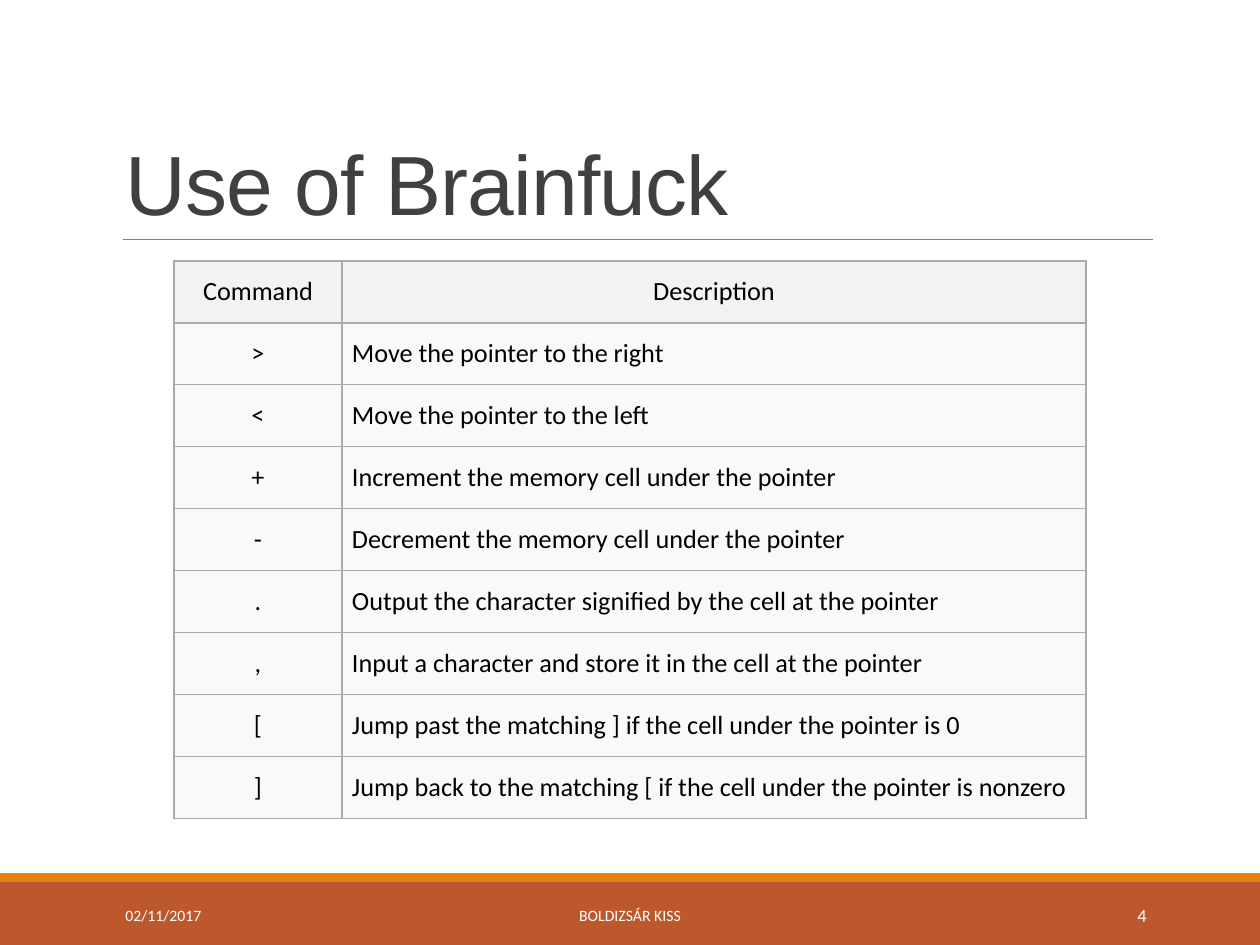
"""Build the Brainfuck command reference slide."""
from lxml import etree
from pptx import Presentation
from pptx.dml.color import RGBColor
from pptx.enum.shapes import MSO_CONNECTOR, MSO_SHAPE
from pptx.enum.text import MSO_ANCHOR, PP_ALIGN
from pptx.oxml.ns import qn
from pptx.util import Pt

LEFT, CENTER, RIGHT = PP_ALIGN.LEFT, PP_ALIGN.CENTER, PP_ALIGN.RIGHT
MIDDLE, BOTTOM = MSO_ANCHOR.MIDDLE, MSO_ANCHOR.BOTTOM
RECT, STRAIGHT = MSO_SHAPE.RECTANGLE, MSO_CONNECTOR.STRAIGHT

TITLE = "Use of Brainfuck"
ROWS = [
    ("Command", "Description"),
    (">", "Move the pointer to the right"),
    ("<", "Move the pointer to the left"),
    ("+", "Increment the memory cell under the pointer"),
    ("-", "Decrement the memory cell under the pointer"),
    (".", "Output the character signified by the cell at the pointer"),
    (",", "Input a character and store it in the cell at the pointer"),
    ("[", "Jump past the matching ] if the cell under the pointer is 0"),
    ("]", "Jump back to the matching [ if the cell under the pointer is nonzero"),
]
FOOTER = [
    ("02/11/2017", 113, 256, LEFT, 9),
    ("BOLDIZSÁR KISS", 381, 498, CENTER, 9),
    ("4", 1023, 136, RIGHT, 10.5),
]
BANDS = [(882, 63, "BD582C"), (873, 9, "E48312")]
COL_WIDTHS = (168, 744)
ROW_HEIGHT = 62
SLIDE_W, SLIDE_H = 1260, 945


def px(n):
    return round(n * 914400 / 126)


def rgb(value):
    return RGBColor.from_string(value)


def write(tf, text, size, color, align=LEFT, font="Calibri"):
    p = tf.paragraphs[0]
    p.text = text
    p.alignment = align
    p.font.name, p.font.size = font, Pt(size)
    p.font.color.rgb = rgb(color)
    return p


def add_border(cell, color, width):
    tc_pr = cell._tc.get_or_add_tcPr()
    for i, side in enumerate(("lnL", "lnR", "lnT", "lnB")):
        ln = etree.Element(qn("a:" + side), w=str(Pt(width)))
        fill = etree.SubElement(ln, qn("a:solidFill"))
        etree.SubElement(fill, qn("a:srgbClr"), val=color)
        tc_pr.insert(i, ln)


def add_bands(s):
    for top, height, color in BANDS:
        sp = s.shapes.add_shape(RECT, 0, px(top), px(SLIDE_W), px(height))
        sp.shadow.inherit = False
        sp.fill.solid()
        sp.fill.fore_color.rgb = rgb(color)
        sp.line.fill.background()


def add_title(s):
    sp = s.shapes.title
    sp.left, sp.top, sp.width, sp.height = px(113), px(39), px(1040), px(200)
    sp.text_frame.vertical_anchor = BOTTOM
    p = write(sp.text_frame, TITLE, 48, "404040", font="Arial")
    p.line_spacing = 0.85
    p.runs[0].font._element.set("spc", "-50")
    rule = s.shapes.add_connector(STRAIGHT, px(123), px(239), px(1153), px(239))
    rule.line.color.rgb = rgb("808080")
    rule.line.width = Pt(0.5)
    etree.SubElement(rule._element.spPr, qn("a:effectLst"))


def add_commands(s):
    table = s.shapes.add_table(
        len(ROWS), len(COL_WIDTHS), px(174), px(261),
        px(sum(COL_WIDTHS)), px(ROW_HEIGHT * len(ROWS))).table
    table.first_row = table.horz_banding = False
    for column, width in zip(table.columns, COL_WIDTHS):
        column.width = px(width)
    for r, row in enumerate(ROWS):
        table.rows[r].height = px(ROW_HEIGHT)
        for c, text in enumerate(row):
            cell = table.cell(r, c)
            cell.vertical_anchor = MIDDLE
            cell.margin_left = cell.margin_right = px(10)
            cell.margin_top = cell.margin_bottom = px(5)
            cell.fill.solid()
            cell.fill.fore_color.rgb = rgb("F9F9F9" if r else "F2F2F2")
            write(cell.text_frame, text, 15, "000000", LEFT if r and c else CENTER)
            add_border(cell, "AAAAAA", 0.75)


def add_footer(s):
    for text, left, width, align, size in FOOTER:
        tf = s.shapes.add_textbox(px(left), px(890), px(width), px(50)).text_frame
        tf.word_wrap = True
        tf.vertical_anchor = MIDDLE
        write(tf, text, size, "FFFFFF", align)


def main():
    prs = Presentation()
    prs.slide_width, prs.slide_height = px(SLIDE_W), px(SLIDE_H)
    s = prs.slides.add_slide(prs.slide_layouts[5])
    add_bands(s)
    add_title(s)
    add_commands(s)
    add_footer(s)
    prs.save("out.pptx")


if __name__ == "__main__":
    main()
